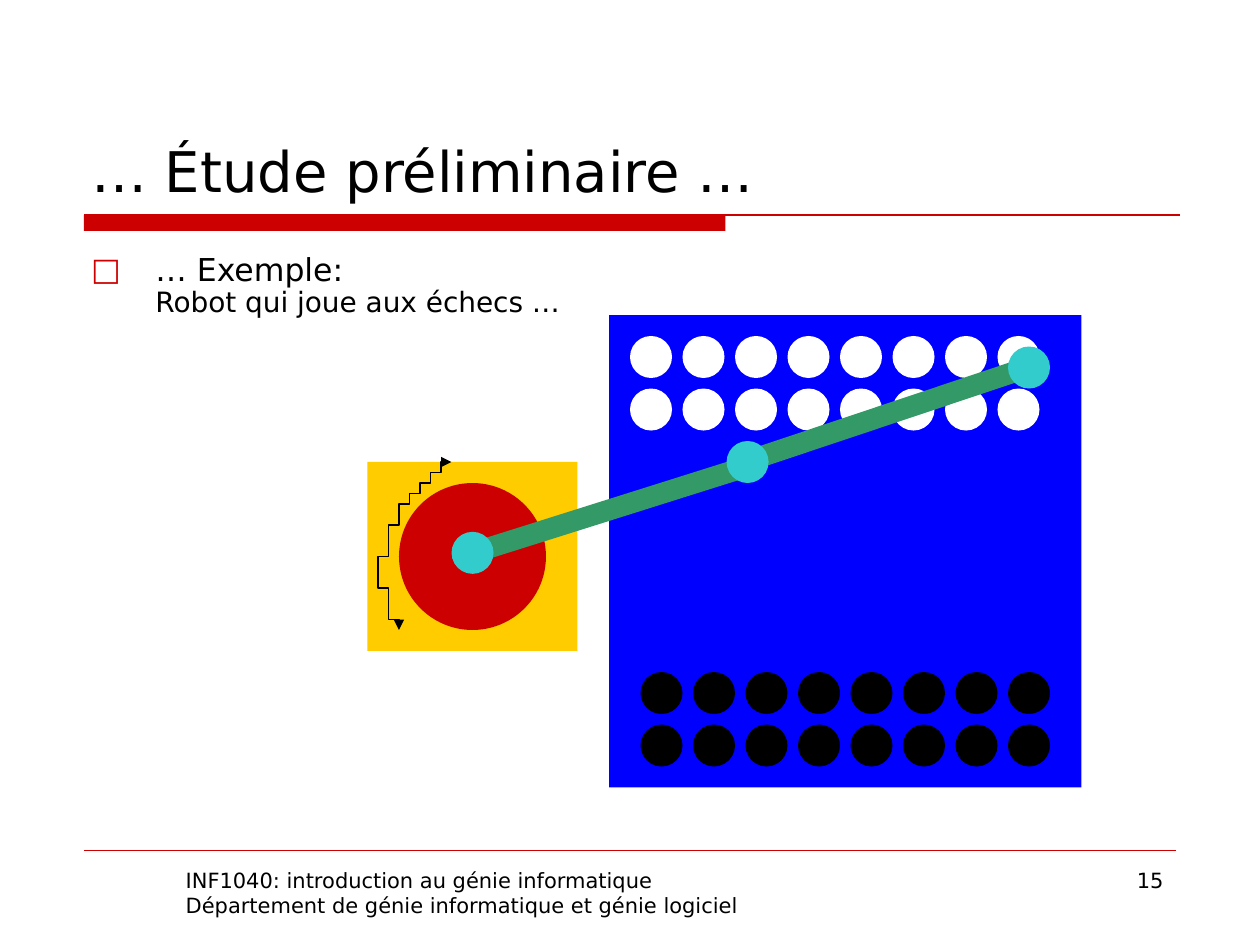
from pptx import Presentation, util as u
from pptx.dml import color
from pptx.enum import shapes, text
from pptx.oxml import ns
from lxml import etree

deck = Presentation()
deck.slide_width, deck.slide_height = u.Inches(10), u.Inches(7.5)
page = deck.slides.add_slide(deck.slide_layouts[6])
CELL = deck.slide_width / 120
RECT, OVAL = shapes.MSO_SHAPE.RECTANGLE, shapes.MSO_SHAPE.OVAL
RED, BLACK, WHITE, TEAL, GREEN = "CC0000", "000000", "FFFFFF", "33CCCC", "339966"


def paint(fill_format, hex_color):
    fill_format.solid()
    fill_format.fore_color.rgb = color.RGBColor.from_string(hex_color)


def add_block(kind, col, row, cols, rows, hex_color, angle=0):
    block = page.shapes.add_shape(kind, *[round(n * CELL) for n in (col, row, cols, rows)])
    block.shadow.inherit = False
    block.rotation = angle
    paint(block.fill, hex_color)
    block.line.fill.background()


add_block(RECT, 8, 20.5, 61.1, 1.5, RED)
for left, right, row, weight in [(8, 112.4, 20.5, 1), (8, 112, 81, 0.25)]:
    rule = page.shapes.add_connector(
        shapes.MSO_CONNECTOR.STRAIGHT, *[round(n * CELL) for n in (left, row, right, row)])
    paint(rule.line.fill, RED)
    rule.line.width = u.Pt(weight)
    etree.SubElement(rule._element.spPr, ns.qn("a:effectLst"))

add_block(RECT, 58, 30, 45, 45, "0000FF")
for first_col, first_row, piece in [(60, 32, WHITE), (61, 64, BLACK)]:
    for rank in range(2):
        for file in range(8):
            add_block(OVAL, first_col + 5 * file, first_row + 5 * rank, 4, 4, piece)

add_block(RECT, 35, 44, 20, 18, "FFCC00")
add_block(OVAL, 38, 46, 14, 14, RED)
add_block(RECT, 44.16, 47.5, 28.2, 2, GREEN, 342.5)
add_block(RECT, 71.04, 38.2, 28.6, 2, GREEN, 341.5)
for col, row in [(69.2, 42), (96, 33), (43, 50.65)]:
    add_block(OVAL, col, row, 4, 4, TEAL)

controls = [(42.9, 43.9), (36.7, 47.9), (34.7, 54.7), (37.9, 59.6)]
points = []
for step in range(41):
    t = step / 40
    weights = [(1 - t) ** 3, 3 * t * (1 - t) ** 2, 3 * t ** 2 * (1 - t), t ** 3]
    points.append([sum(w * p[axis] for w, p in zip(weights, controls)) for axis in (0, 1)])
builder = page.shapes.build_freeform(*points[0], scale=CELL)
builder.add_line_segments(points[1:], close=False)
swing = builder.convert_to_shape()
swing.shadow.inherit = False
swing.fill.background()
paint(swing.line.fill, BLACK)
swing.line.width = u.Pt(0.75)
for end in ("a:headEnd", "a:tailEnd"):
    etree.SubElement(swing.line._get_or_add_ln(), ns.qn(end), type="triangle")

LEFT, RIGHT = text.PP_ALIGN.LEFT, text.PP_ALIGN.RIGHT
TOP, BOTTOM = text.MSO_ANCHOR.TOP, text.MSO_ANCHOR.BOTTOM
labels = [
    ("INF1040: introduction au génie informatique\n"
     "Département de génie informatique et génie logiciel",
     (16.5, 82, 62.5, 6), [12], LEFT, TOP),
    ("… Exemple:\vRobot qui joue aux échecs …", (7.5, 23.65, 105, 56), [18, 16], LEFT, TOP),
    ("… Étude préliminaire …", (7.5, 4, 105, 16), [32], LEFT, BOTTOM),
    ("15", (86, 82, 26, 6.2), [12], RIGHT, TOP),
]
for words, area, sizes, align, anchor in labels:
    box = page.shapes.add_textbox(*[round(n * CELL) for n in area])
    frame = box.text_frame
    frame.word_wrap = True
    frame.vertical_anchor = anchor
    frame.text = words
    for para in frame.paragraphs:
        para.alignment = align
        for index, span in enumerate(para.runs):
            span.font.name = "DejaVu Sans"
            span.font.size = u.Pt(sizes[index])
            span.font.color.rgb = color.RGBColor.from_string(BLACK)
    if len(sizes) > 1:
        para.line_spacing = 0.9
        para.space_before = u.Pt(4)
        props = para._p.get_or_add_pPr()
        props.set("marL", str(u.Inches(0.51)))
        props.set("indent", str(u.Inches(-0.51)))
        bullet_color = etree.SubElement(props, ns.qn("a:buClr"))
        etree.SubElement(bullet_color, ns.qn("a:srgbClr"), val=RED)
        etree.SubElement(props, ns.qn("a:buFont"), typeface="DejaVu Sans")
        etree.SubElement(props, ns.qn("a:buChar"), char="□")

deck.save("out.pptx")
